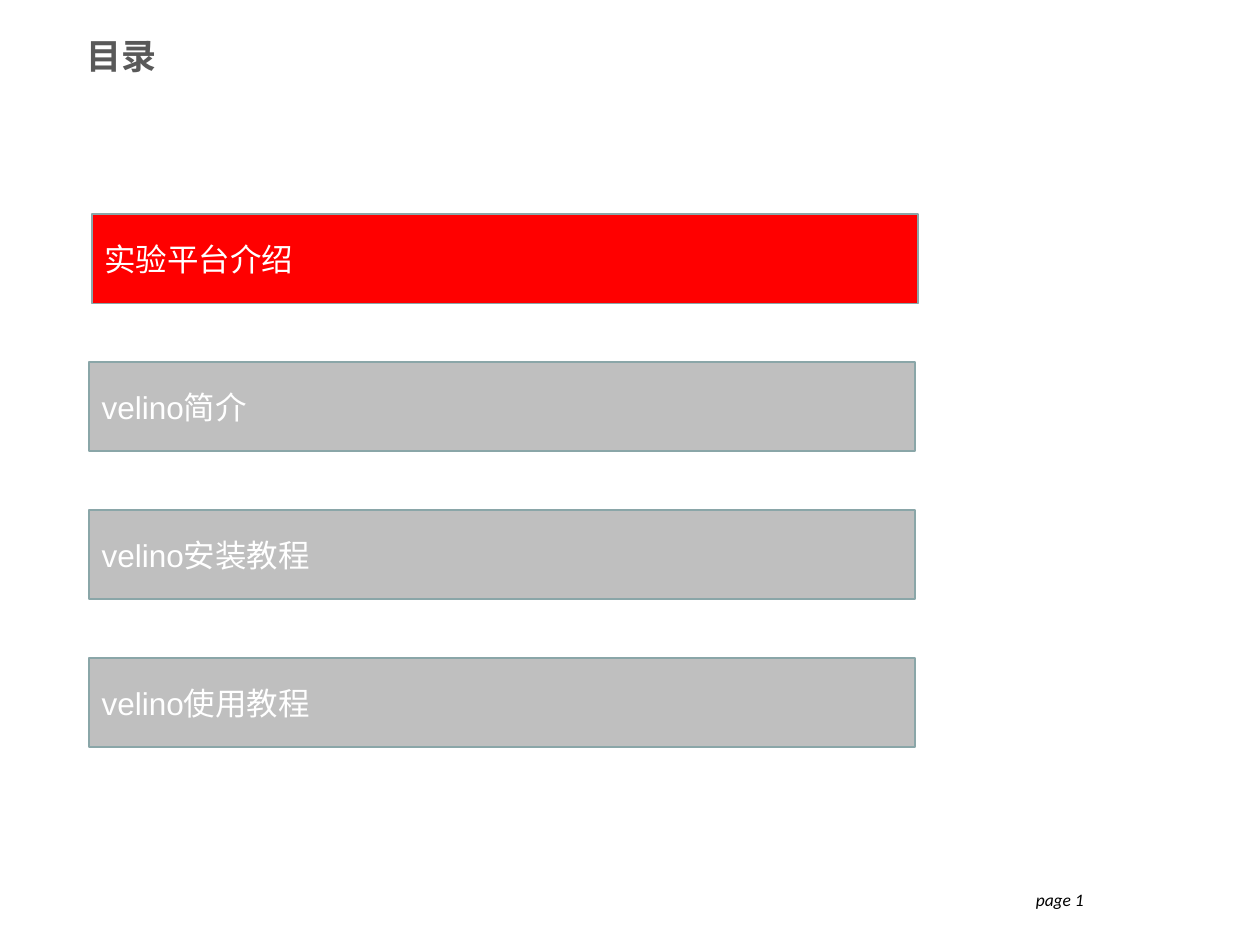
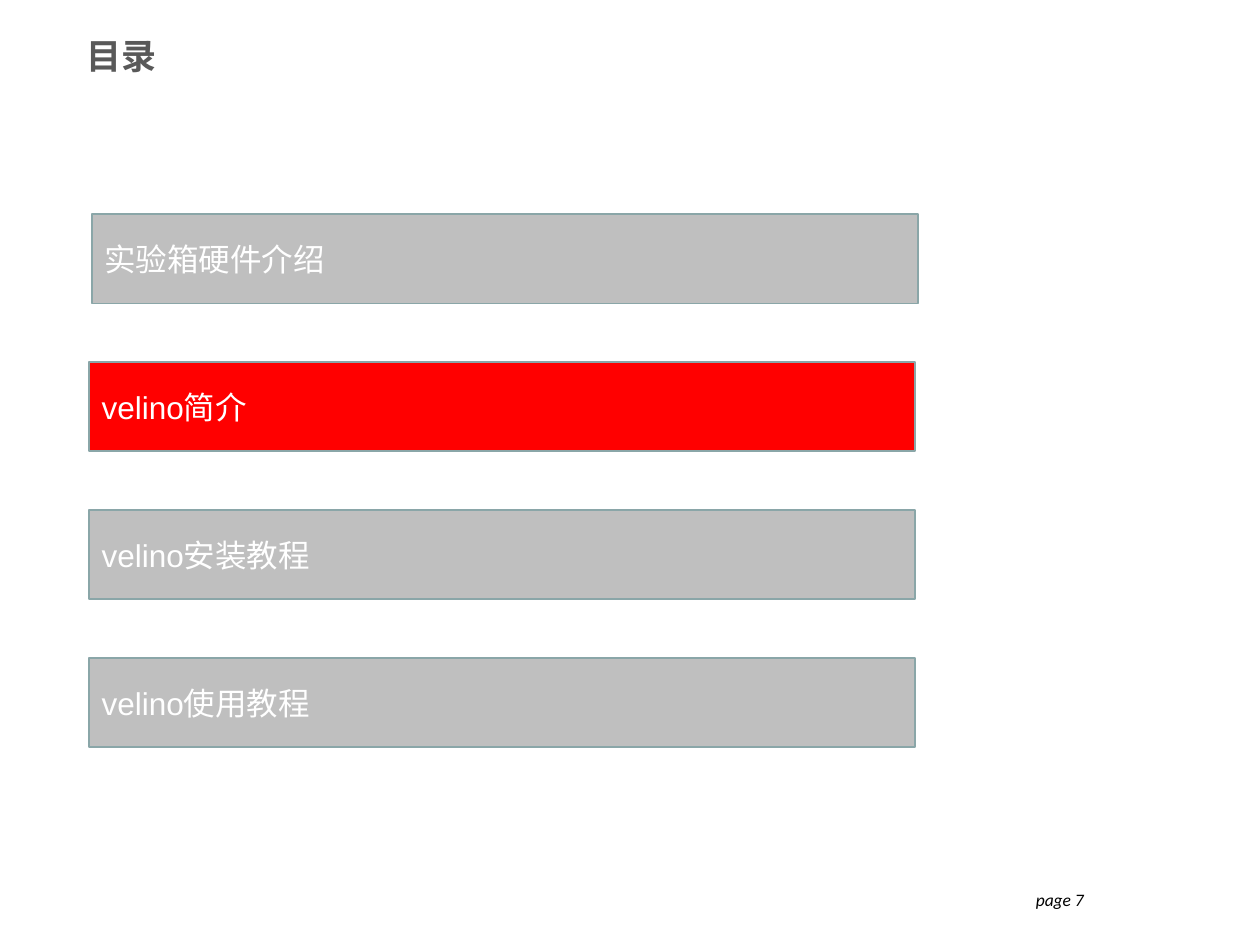
"""Build two agenda slides, each highlighting its current section."""
from lxml.etree import SubElement
from pptx import Presentation
from pptx.dml.color import RGBColor
from pptx.enum.shapes import MSO_SHAPE
from pptx.enum.text import MSO_ANCHOR, PP_ALIGN
from pptx.oxml.ns import qn
from pptx.util import Pt

TITLE = "目录"
LATER_SECTIONS = ["velino简介", "velino安装教程", "velino使用教程"]
AGENDAS = [
    {"sections": ["实验平台介绍"] + LATER_SECTIONS, "current": 0, "number": 1},
    {"sections": ["实验箱硬件介绍"] + LATER_SECTIONS, "current": 1, "number": 7},
]
COLORS = {
    "title": "595959",
    "footer": "000000",
    "current": "FF0000",
    "other": "BFBFBF",
    "border": "8AA6A8",
    "label": "FFFFFF",
}
CJK_FONT = "Noto Sans CJK SC"
BAR_LEFTS = [52.5, 51, 51, 51]
BAR_TOP, BAR_PITCH = 122.4, 84.5
BAR_WIDTH, BAR_HEIGHT = 472, 51


def color(name):
    return RGBColor.from_string(COLORS[name])


def write(shape, text, size, font_name, color_name,
          align=PP_ALIGN.LEFT, anchor=MSO_ANCHOR.MIDDLE):
    frame = shape.text_frame
    frame.word_wrap = True
    frame.vertical_anchor = anchor
    para = frame.paragraphs[0]
    para.text = text
    para.alignment = align
    font = para.font
    font.size = Pt(size)
    font.name = font_name
    font.color.rgb = color(color_name)
    east_asian = SubElement(para._p.pPr.find(qn("a:defRPr")), qn("a:ea"))
    east_asian.set("typeface", CJK_FONT)
    return font


def add_title(page):
    box = page.shapes.add_textbox(Pt(42.5), Pt(15), Pt(448), Pt(34))
    box.text_frame.margin_left = Pt(7.2)
    write(box, TITLE, 20, CJK_FONT, "title").bold = True


def add_footer(page, number):
    box = page.shapes.add_textbox(Pt(458.6), Pt(504.7), Pt(167.8), Pt(37.4))
    font = write(box, f"page {number}", 10, "Calibri", "footer",
                 PP_ALIGN.RIGHT, MSO_ANCHOR.TOP)
    font.italic = True


def add_bar(page, index, section, is_current):
    bar = page.shapes.add_shape(
        MSO_SHAPE.FLOWCHART_PROCESS,
        Pt(BAR_LEFTS[index]), Pt(BAR_TOP + index * BAR_PITCH),
        Pt(BAR_WIDTH), Pt(BAR_HEIGHT))
    bar.shadow.inherit = False
    bar.fill.solid()
    bar.fill.fore_color.rgb = color("current" if is_current else "other")
    bar.line.color.rgb = color("border")
    bar.line.width = Pt(1)
    write(bar, section, 18, "Arial", "label")


def main():
    deck = Presentation()
    deck.slide_width, deck.slide_height = Pt(720), Pt(540)
    for agenda in AGENDAS:
        page = deck.slides.add_slide(deck.slide_layouts[6])
        add_footer(page, agenda["number"])
        add_title(page)
        for index, section in enumerate(agenda["sections"]):
            add_bar(page, index, section, index == agenda["current"])
    deck.save("out.pptx")


if __name__ == "__main__":
    main()
